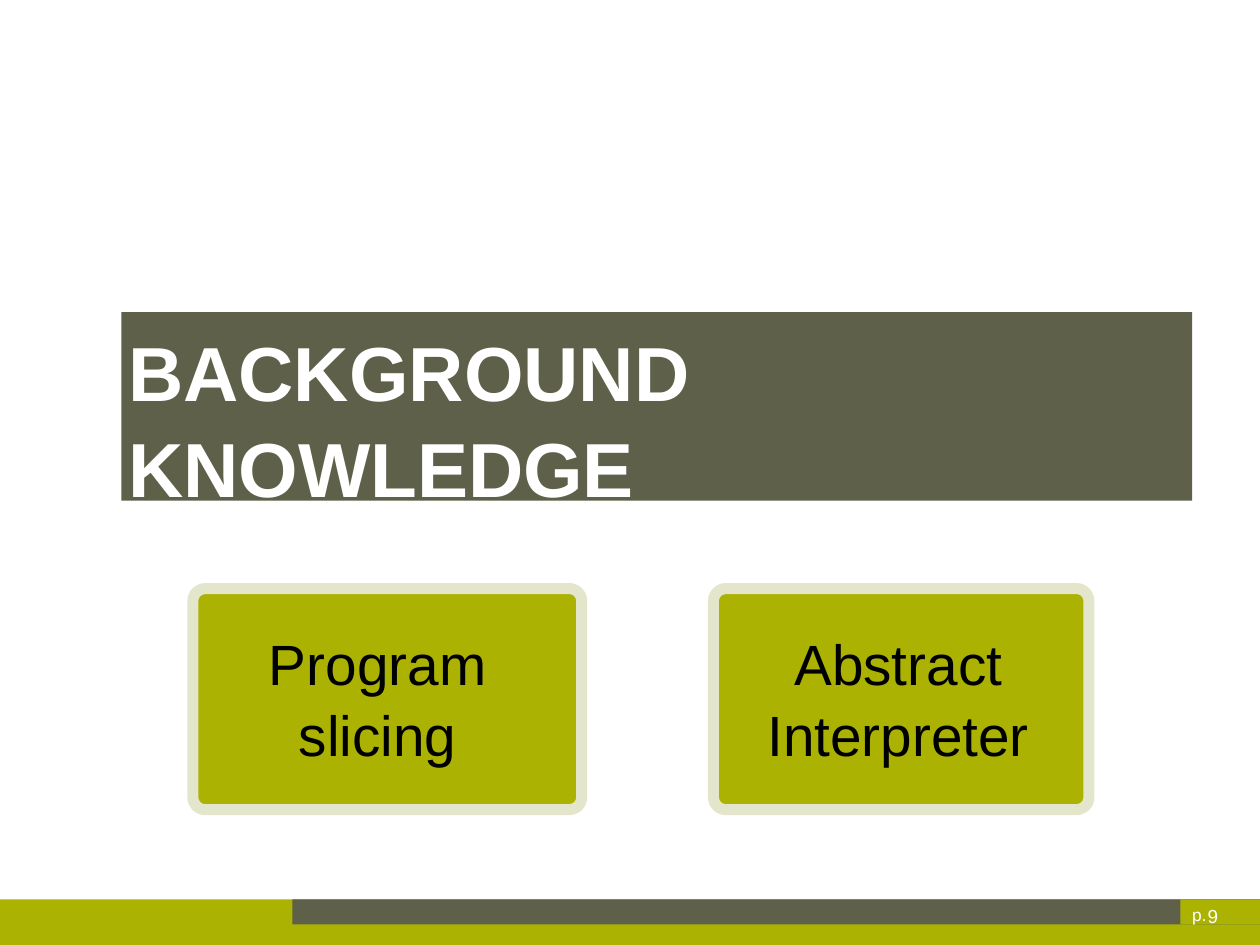
"""Build the section slide that introduces the background knowledge topics."""
from pptx import Presentation
from pptx.dml.color import RGBColor
from pptx.enum.shapes import MSO_SHAPE
from pptx.enum.text import MSO_ANCHOR, PP_ALIGN
from pptx.util import Cm, Pt

RECTANGLE = MSO_SHAPE.RECTANGLE
ROUNDED = MSO_SHAPE.ROUNDED_RECTANGLE
TOP = MSO_ANCHOR.TOP
LEFT, CENTER = PP_ALIGN.LEFT, PP_ALIGN.CENTER

TITLE = "BACKGROUND KNOWLEDGE"
TOPICS = [("Program slicing", 4.32, 8.71), ("Abstract Interpreter", 15.98, 8.41)]
PAGE_LABEL = [("p.", 26.7, 20.24, "label"), ("9", 27.05, 20.26, "number")]

THEME = {
    "font": "Arial",
    "green": RGBColor(0xAB, 0xB2, 0x02),
    "olive": RGBColor(0x5F, 0x60, 0x4A),
    "border": RGBColor(0xE4, 0xE6, 0xCC),
    "white": RGBColor(0xFF, 0xFF, 0xFF),
    "black": RGBColor(0x00, 0x00, 0x00),
    "size": {"title": 48.6, "topic": 36, "number": 12, "label": 11},
}

SLIDE_WIDTH, SLIDE_HEIGHT = 28.22, 21.16
FOOTER_TOP, STRIP_LEFT, BADGE_LEFT, STRIP_HEIGHT = 20.14, 6.55, 26.44, 0.56
TITLE_BOX = (2.72, 6.99, 23.98, 4.22)
CARD_TOP, CARD_HEIGHT, CARD_TEXT_RIGHT = 13.18, 4.95, 8.28
LINE_SPACING = 1.05


def apply_format(target, values):
    for name, value in values.items():
        setattr(target, name, value)


def add_block(slide, kind, box, color):
    shape = slide.shapes.add_shape(kind, *map(Cm, box))
    shape.shadow.inherit = False
    shape.fill.solid()
    shape.fill.fore_color.rgb = THEME[color]
    shape.line.fill.background()
    return shape


def write_text(shape, text, role, color, insets=(0, 0, 0, 0), align=LEFT, bold=False, wrap=True):
    left, top, right, bottom = map(Cm, insets)
    frame = shape.text_frame
    apply_format(frame, {
        "word_wrap": wrap, "vertical_anchor": TOP,
        "margin_left": left, "margin_top": top,
        "margin_right": right, "margin_bottom": bottom,
    })
    paragraph = frame.paragraphs[0]
    apply_format(paragraph, {"alignment": align, "line_spacing": LINE_SPACING if wrap else 1.0})
    run = paragraph.add_run()
    run.text = text
    apply_format(run.font, {"name": THEME["font"], "size": Pt(THEME["size"][role]), "bold": bold})
    run.font.color.rgb = THEME[color]


def add_footer(slide):
    bars = [
        (0, SLIDE_HEIGHT - FOOTER_TOP, "green"),
        (STRIP_LEFT, STRIP_HEIGHT, "olive"),
        (BADGE_LEFT, STRIP_HEIGHT, "green"),
    ]
    for left, height, color in bars:
        add_block(slide, RECTANGLE, (left, FOOTER_TOP, SLIDE_WIDTH - left, height), color)
    for text, left, top, role in PAGE_LABEL:
        label = slide.shapes.add_textbox(Cm(left), Cm(top), Cm(0.5), Cm(0.5))
        write_text(label, text, role, "white", wrap=False)


def add_topic(slide, text, left, width):
    card = add_block(slide, ROUNDED, (left, CARD_TOP, width, CARD_HEIGHT), "green")
    card.adjustments[0] = 0.056
    card.line.color.rgb = THEME["border"]
    card.line.width = Pt(7)
    write_text(card, text, "topic", "black", (0, 0.74, width - CARD_TEXT_RIGHT, 0), CENTER)


def main():
    presentation = Presentation()
    apply_format(presentation, {"slide_width": Cm(SLIDE_WIDTH), "slide_height": Cm(SLIDE_HEIGHT)})
    slide = presentation.slides.add_slide(presentation.slide_layouts[6])
    add_footer(slide)
    title = add_block(slide, RECTANGLE, TITLE_BOX, "olive")
    write_text(title, TITLE, "title", "white", (0.15, 0.18, 0.25, 0), bold=True)
    for topic in TOPICS:
        add_topic(slide, *topic)
    presentation.save("out.pptx")


if __name__ == "__main__":
    main()
